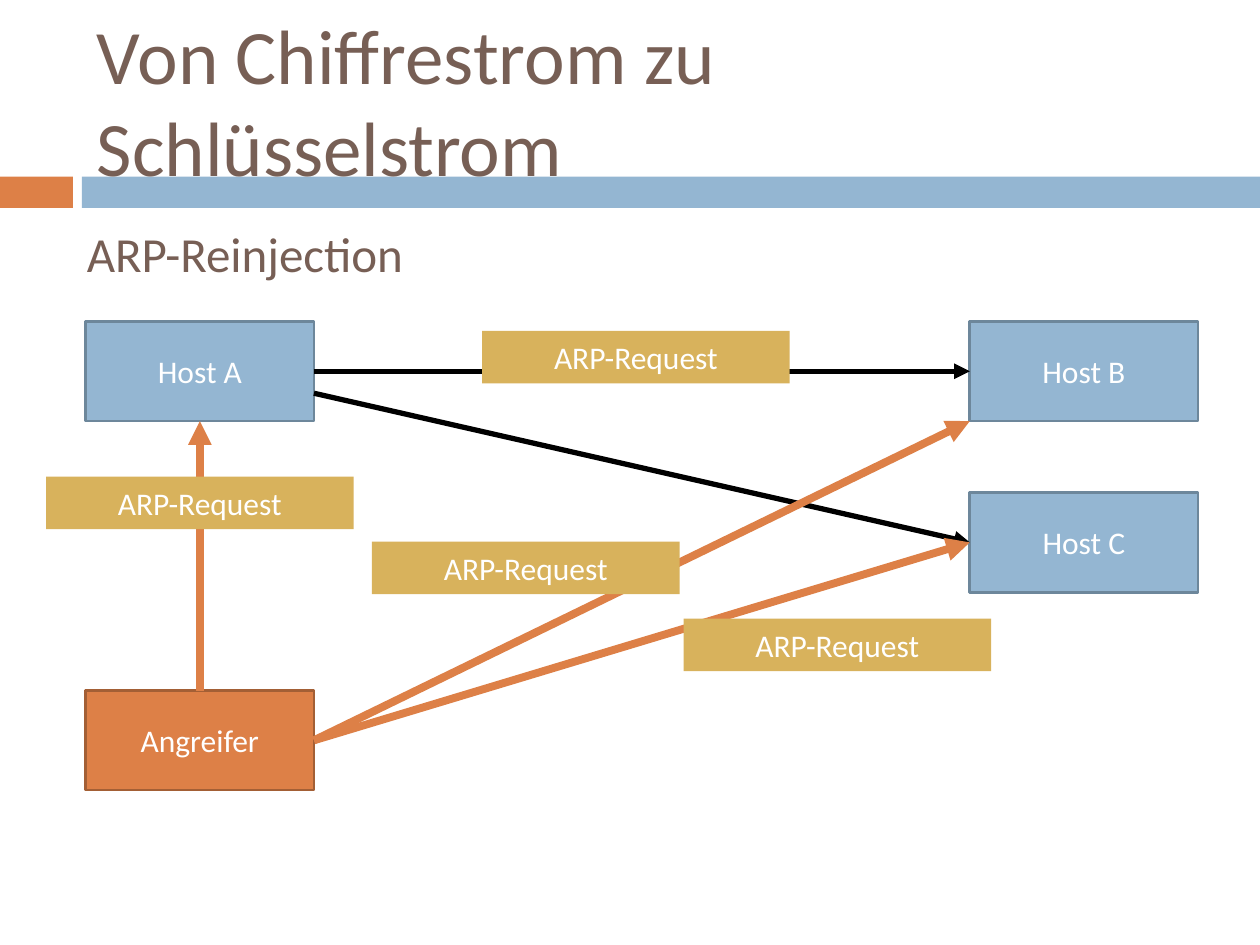
"""Build the slide on ARP reinjection between hosts and an attacker."""
from dataclasses import dataclass

from lxml.etree import SubElement
from pptx import Presentation
from pptx.dml.color import RGBColor
from pptx.enum.shapes import MSO_CONNECTOR, MSO_SHAPE
from pptx.enum.text import MSO_ANCHOR, MSO_AUTO_SIZE, PP_ALIGN
from pptx.oxml.ns import qn
from pptx.util import Cm, Pt


@dataclass(frozen=True)
class Theme:
    font: str = "Calibri"
    heading: str = "775F55"
    blue: str = "94B6D2"
    blue_edge: str = "6D879B"
    orange: str = "DD8047"
    orange_edge: str = "A35F35"
    gold: str = "D8B25C"
    black: str = "000000"
    white: str = "FFFFFF"
    title_size: int = 44
    subtitle_size: int = 28
    label_size: int = 18


THEME = Theme()
NODE_SIZE = (4.6, 2.01)
PACKET_SIZE = (6.2, 1.06)
CONNECTION_SITES = {(0.5, 0): 0, (0, 0.5): 1, (0.5, 1): 2, (1, 0.5): 3}


def color(value):
    return RGBColor.from_string(value)


def write(shape, text, size, text_color, alignment):
    frame = shape.text_frame
    frame.word_wrap = True
    frame.auto_size = MSO_AUTO_SIZE.NONE
    frame.vertical_anchor = MSO_ANCHOR.MIDDLE
    paragraph = frame.paragraphs[0]
    paragraph.alignment = alignment
    run = paragraph.add_run()
    run.text = text
    run.font.name = THEME.font
    run.font.size = Pt(size)
    run.font.color.rgb = color(text_color)


def add_box(slide, left, top, width, height, fill, edge=None, text=None):
    shape = slide.shapes.add_shape(
        MSO_SHAPE.RECTANGLE, Cm(left), Cm(top), Cm(width), Cm(height))
    shape.shadow.inherit = False
    shape.fill.solid()
    shape.fill.fore_color.rgb = color(fill)
    if edge:
        shape.line.color.rgb = color(edge)
        shape.line.width = Pt(1.5)
    else:
        shape.line.fill.background()
    if text:
        write(shape, text, THEME.label_size, THEME.white, PP_ALIGN.CENTER)
    return shape


def add_host(slide, name, left, top):
    return add_box(slide, left, top, *NODE_SIZE, THEME.blue, THEME.blue_edge, name)


def add_packet(slide, left, top):
    return add_box(slide, left, top, *PACKET_SIZE, THEME.gold, text="ARP-Request")


def point_on(shape, spot):
    across, down = spot
    return int(shape.left + across * shape.width), int(shape.top + down * shape.height)


def add_arrow(slide, source, source_spot, target, target_spot, line_color, width):
    connector = slide.shapes.add_connector(
        MSO_CONNECTOR.STRAIGHT,
        *point_on(source, source_spot), *point_on(target, target_spot))
    if source_spot in CONNECTION_SITES:
        connector.begin_connect(source, CONNECTION_SITES[source_spot])
    if target_spot in CONNECTION_SITES:
        connector.end_connect(target, CONNECTION_SITES[target_spot])
    connector.line.color.rgb = color(line_color)
    connector.line.width = Pt(width)
    SubElement(connector.line._get_or_add_ln(), qn("a:tailEnd"), type="triangle")
    SubElement(connector._element.spPr, qn("a:effectLst"))


def add_headings(slide):
    add_box(slide, 0, 3.56, 1.47, 0.63, THEME.orange)
    add_box(slide, 1.65, 3.56, 23.75, 0.63, THEME.blue)

    title = slide.shapes.title
    title.left, title.top, title.width, title.height = (
        Cm(1.7), Cm(0.64), Cm(22.66), Cm(2.74))
    title.text_frame.margin_right = Cm(0.5)
    write(title, "Von Chiffrestrom zu Schlüsselstrom",
          THEME.title_size, THEME.heading, PP_ALIGN.LEFT)
    slide.shapes.element.append(title.element)

    subtitle = slide.shapes.add_textbox(Cm(1.5), Cm(3.73), Cm(22.66), Cm(2.74))
    write(subtitle, "ARP-Reinjection",
          THEME.subtitle_size, THEME.heading, PP_ALIGN.LEFT)


def add_network(slide):
    left, right = 1.73, 19.55
    host_a = add_host(slide, "Host A", left, 6.48)
    host_b = add_host(slide, "Host B", right, 6.48)
    host_c = add_host(slide, "Host C", right, 9.93)
    attacker = add_box(slide, left, 13.92, *NODE_SIZE,
                       THEME.orange, THEME.orange_edge, "Angreifer")

    for spot, target in (((1, 0.5), host_b), ((1, 0.72), host_c)):
        add_arrow(slide, host_a, spot, target, (0, 0.5), THEME.black, 3)
    for spot, target, target_spot in (
            ((0.5, 0), host_a, (0.5, 1)),
            ((1, 0.5), host_b, (0, 1)),
            ((1, 0.5), host_c, (0, 0.5))):
        add_arrow(slide, attacker, spot, target, target_spot, THEME.orange, 4.5)

    for position in ((9.72, 6.67), (0.93, 9.61), (7.5, 10.92), (13.78, 12.47)):
        add_packet(slide, *position)


def main():
    presentation = Presentation()
    presentation.slide_width, presentation.slide_height = Cm(25.4), Cm(19.05)
    slide = presentation.slides.add_slide(presentation.slide_layouts[5])
    add_headings(slide)
    add_network(slide)
    presentation.save("out.pptx")


if __name__ == "__main__":
    main()
